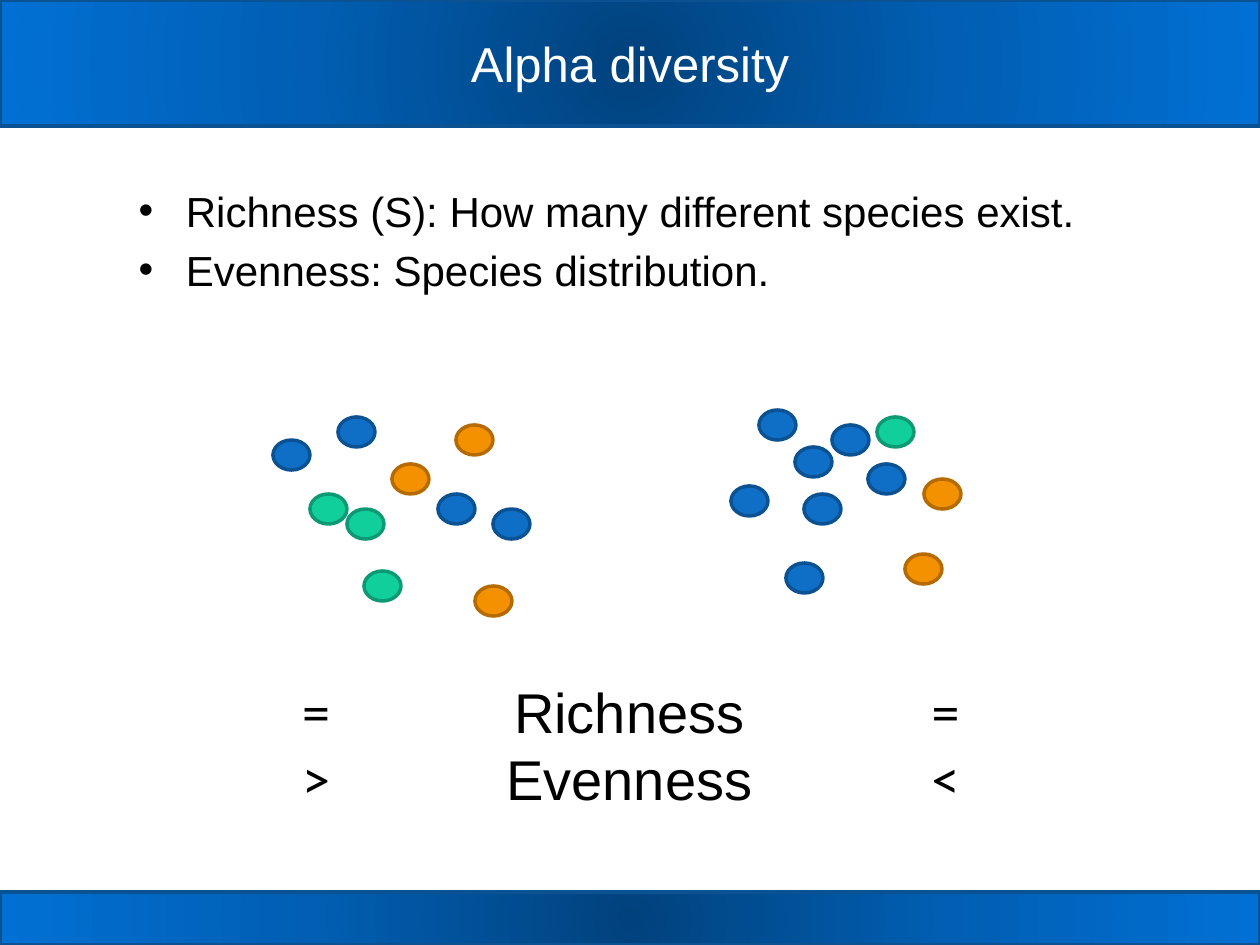
from lxml import etree
from pptx import Presentation
from pptx.dml.color import RGBColor
from pptx.enum.shapes import MSO_SHAPE
from pptx.enum.text import MSO_ANCHOR, PP_ALIGN
from pptx.oxml.ns import qn
from pptx.util import Pt

PX = 914400 // 126
WIDTH, HEIGHT = 1260, 945
RECTANGLE, ELLIPSE = MSO_SHAPE.RECTANGLE, MSO_SHAPE.OVAL
CENTER, MIDDLE, TOP = PP_ALIGN.CENTER, MSO_ANCHOR.MIDDLE, MSO_ANCHOR.TOP

BLACK = RGBColor(0x00, 0x00, 0x00)
WHITE = RGBColor(0xFF, 0xFF, 0xFF)
BLUE, BLUE_EDGE = RGBColor(0x0F, 0x6F, 0xC6), RGBColor(0x0B, 0x52, 0x92)
ORANGE, ORANGE_EDGE = RGBColor(0xF4, 0x91, 0x00), RGBColor(0xB5, 0x6B, 0x00)
GREEN, GREEN_EDGE = RGBColor(0x10, 0xCF, 0x9B), RGBColor(0x0C, 0x99, 0x73)
BAND_STOPS = [
    (0, RGBColor(0x01, 0x42, 0x7D)),
    (50, RGBColor(0x01, 0x5E, 0xB2)),
    (100, RGBColor(0x01, 0x70, 0xD4)),
]

TITLE = "Alpha diversity"
TITLE_BOX = (126, 0, 1008, 126)
DEFINITIONS = [
    "Richness (S): How many different species exist.",
    "Evenness: Species distribution.",
]
DEFINITIONS_BOX = (126, 179, 987, 179)
BANDS = [(0, 0, WIDTH, 126), (0, 892, WIDTH, 53)]

SPECIES = {
    "blue": (BLUE, BLUE_EDGE),
    "orange": (ORANGE, ORANGE_EDGE),
    "green": (GREEN, GREEN_EDGE),
}
DOT_SIZE = (37, 30)
COMMUNITIES = [
    {
        "blue": [(338, 417), (438, 494), (493, 509), (273, 440)],
        "orange": [(392, 464), (475, 586), (456, 425)],
        "green": [(364, 571), (310, 494), (347, 509)],
    },
    {
        "blue": [(759, 410), (868, 464), (804, 494), (786, 563),
                 (731, 486), (795, 447), (832, 425)],
        "orange": [(905, 554), (924, 479)],
        "green": [(877, 417)],
    },
]
COMPARISON = [
    (["=", ">"], "Calibri", (237, 670, 158, 149)),
    (["Richness", "Evenness"], "Arial", (388, 671, 483, 149)),
    (["=", "<"], "Calibri", (872, 670, 147, 149)),
]


def emu(box):
    return [length * PX for length in box]


def place(shape, box):
    shape.left, shape.top, shape.width, shape.height = emu(box)


def write(frame, lines, font, size, color, align=None, anchor=TOP):
    frame.word_wrap = True
    frame.vertical_anchor = anchor
    for index, line in enumerate(lines):
        paragraph = frame.add_paragraph() if index else frame.paragraphs[0]
        paragraph.alignment = align
        run = paragraph.add_run()
        run.text = line
        run.font.name, run.font.size = font, Pt(size)
        run.font.color.rgb = color


def outlined(shapes, kind, box, edge):
    shape = shapes.add_shape(kind, *emu(box))
    shape.shadow.inherit = False
    shape.line.color.rgb = edge
    shape.line.width = Pt(2)
    return shape


def fill_radial(shape, stops):
    """Fill with a gradient that spreads from the centre of the shape."""
    shape.fill.gradient()
    gradient = shape.fill._fill._gradFill
    for child in list(gradient):
        gradient.remove(child)
    stop_list = etree.SubElement(gradient, qn("a:gsLst"))
    for position, color in stops:
        stop = etree.SubElement(stop_list, qn("a:gs"), pos=str(position * 1000))
        etree.SubElement(stop, qn("a:srgbClr"), val=str(color))
    spread = etree.SubElement(gradient, qn("a:path"), path="circle")
    sides = dict.fromkeys("ltrb", "50000")
    etree.SubElement(spread, qn("a:fillToRect"), **sides)


def main():
    deck = Presentation()
    deck.slide_width, deck.slide_height = WIDTH * PX, HEIGHT * PX
    slide = deck.slides.add_slide(deck.slide_layouts.get_by_name("Title and Content"))
    shapes = slide.shapes
    title, definitions = slide.placeholders

    place(title, TITLE_BOX)
    write(title.text_frame, [TITLE], "Arial", 28, WHITE, CENTER, MIDDLE)
    place(definitions, DEFINITIONS_BOX)
    write(definitions.text_frame, DEFINITIONS, "Arial", 24, BLACK)

    for band_box in BANDS:
        band = outlined(shapes, RECTANGLE, band_box, BLUE_EDGE)
        fill_radial(band, BAND_STOPS)
        title._element.addprevious(band._element)  # bands lie behind the title

    for community in COMMUNITIES:
        group = shapes.add_group_shape()
        for species, positions in community.items():
            color, edge = SPECIES[species]
            for position in positions:
                dot = outlined(group.shapes, ELLIPSE, position + DOT_SIZE, edge)
                dot.fill.solid()
                dot.fill.fore_color.rgb = color

    for lines, font, box in COMPARISON:
        column = shapes.add_textbox(*emu(box))
        write(column.text_frame, lines, font, 32, BLACK, CENTER)

    deck.save("out.pptx")


if __name__ == "__main__":
    main()
